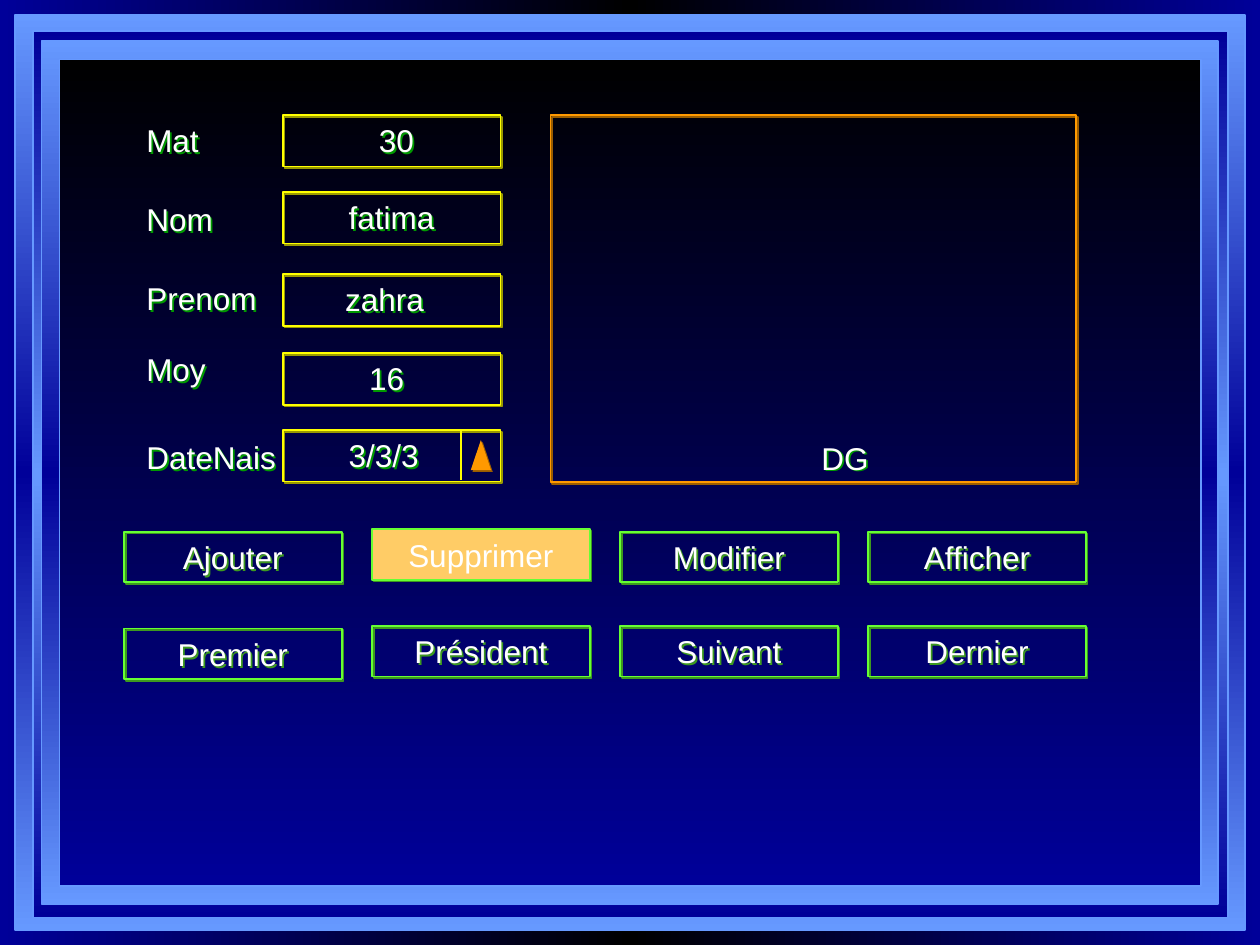
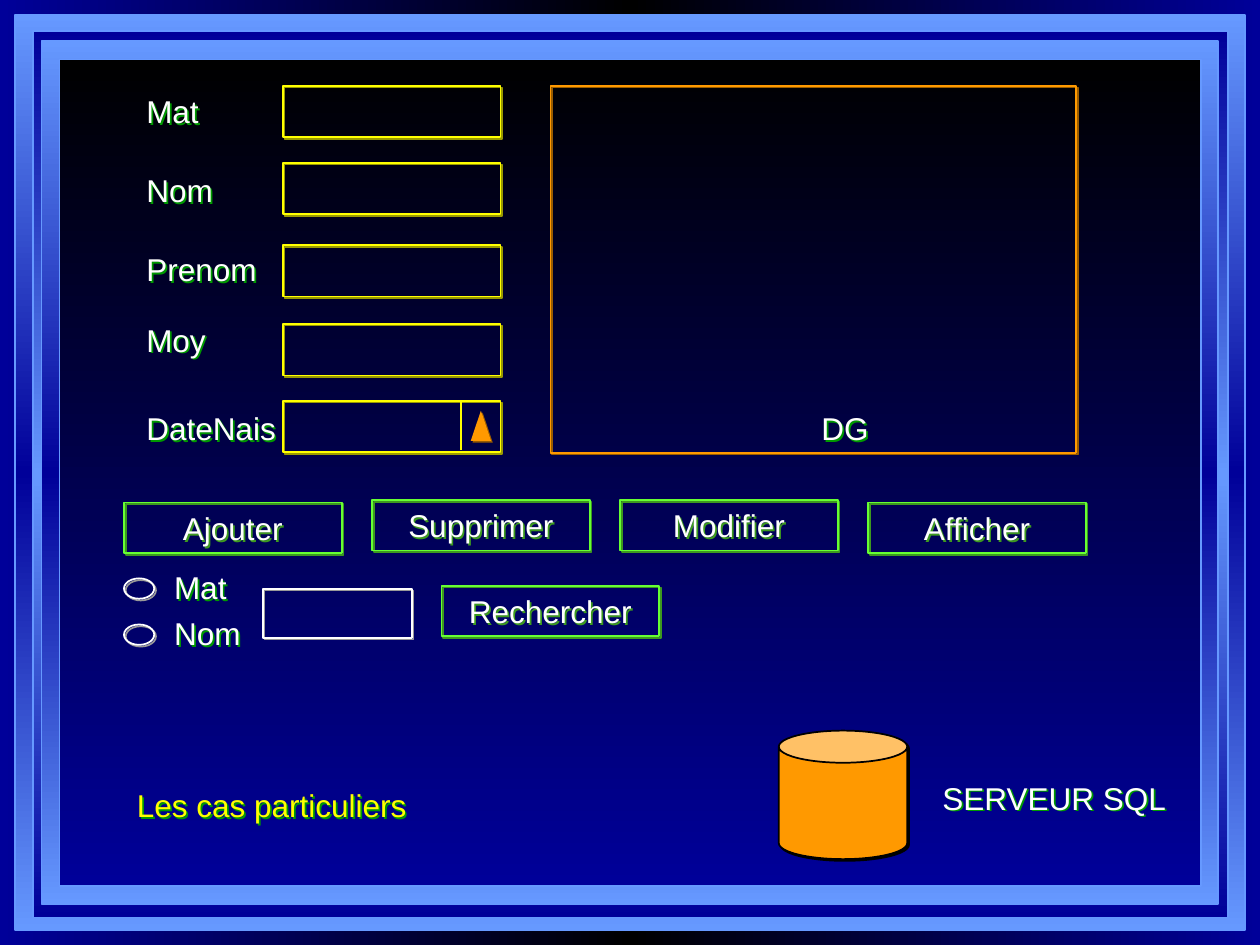
from pptx import Presentation
from pptx.dml.color import RGBColor as RGB
from pptx.enum.shapes import MSO_CONNECTOR, MSO_SHAPE as SHAPE
from pptx.enum.text import MSO_ANCHOR as ANCHOR, MSO_AUTO_SIZE as AUTO, PP_ALIGN as ALIGN
from pptx.oxml.ns import qn
from pptx.util import Cm, Pt
from lxml.etree import SubElement

COLORS = {
    "navy": "000099", "black": "000000", "sky": "6699FF", "white": "FFFFFF",
    "yellow": "FFFF00", "olive": "999900", "orange": "FF9900", "brown": "995C00",
    "lime": "66FF33", "moss": "3D991F", "peach": "FFCC66", "green": "009900",
    "gray": "999999",
}
FONT = "Arial"
LABELS = ["Mat", "Nom", "Prenom", "Moy", "DateNais"]
LABEL_DROPS = [0, 1.59, 3.19, 4.61, 6.39]
FIELD_DROPS = [0, 1.55, 3.21, 4.8, 6.35]
BUTTON_W, BUTTON_H, BUTTON_STEP = 4.39, 1.02, 5
ACTIONS = ["Ajouter", "Supprimer", "Modifier", "Afficher"]
MOVES = ["Premier", "Président", "Suivant", "Dernier"]


def color(name):
    return RGB.from_string(COLORS[name])


def set_gradient(fill, element, names, angle):
    """Spread the named colours evenly over a linear gradient."""
    fill.gradient()
    fill.gradient_angle = angle
    stops = next(element.iter(qn("a:gsLst")))
    for stop in list(stops):
        stops.remove(stop)
    for i, name in enumerate(names):
        gs = SubElement(stops, qn("a:gs"), pos=str(100000 * i // (len(names) - 1)))
        SubElement(gs, qn("a:srgbClr"), val=COLORS[name])


def set_shadow(sp, name):
    sp.shadow.inherit = False
    effects = sp.element.spPr.find(qn("a:effectLst"))
    shadow = SubElement(effects, qn("a:outerShdw"), dist="17960", dir="2700000",
                        algn="ctr", rotWithShape="0")
    SubElement(shadow, qn("a:srgbClr"), val=COLORS[name])


def add_shape(s, kind, x, y, w, h, fill=None, line=None, shadow=None):
    sp = s.shapes.add_shape(kind, Cm(x), Cm(y), Cm(w), Cm(h))
    sp.shadow.inherit = False
    if fill:
        sp.fill.solid()
        sp.fill.fore_color.rgb = color(fill)
    else:
        sp.fill.background()
    if line:
        sp.line.color.rgb = color(line)
        sp.line.width = Pt(1)
    else:
        sp.line.fill.background()
    if shadow:
        set_shadow(sp, shadow)
    return sp


def write(sp, text, name="white", align=ALIGN.LEFT):
    tf = sp.text_frame
    tf.word_wrap = True
    tf.auto_size = AUTO.SHAPE_TO_FIT_TEXT
    p = tf.paragraphs[0]
    p.alignment = align
    r = p.add_run()
    r.text = text
    r.font.name = FONT
    r.font.size = Pt(18)
    r.font.color.rgb = color(name)


def add_label(s, text, x, y, w=3.61, name="white"):
    sp = s.shapes.add_textbox(Cm(x), Cm(y), Cm(w), Cm(1.02))
    set_shadow(sp, "green")
    write(sp, text, name)


def add_button(s, text, x, y, fill=None):
    sp = add_shape(s, SHAPE.RECTANGLE, x, y, BUTTON_W, BUTTON_H, fill, "lime", "moss")
    sp.text_frame.vertical_anchor = ANCHOR.MIDDLE
    write(sp, text, align=ALIGN.CENTER)


def add_frame(s):
    """Background and the four nested gradient panels."""
    set_gradient(s.background.fill, s.element, ["navy", "black", "navy"], 0)
    bright, dark = ["sky", "navy", "sky"], ["navy", "sky", "navy"]
    panels = [
        (0.3, 0.3, 24.8, 18.45, bright),
        (0.66, 0.62, 24.1, 17.88, dark),
        (0.84, 0.83, 23.72, 17.4, bright),
        (1.2, 1.2, 23.01, 16.66, ["black", "navy"]),
    ]
    for x, y, w, h, names in panels:
        sp = add_shape(s, SHAPE.RECTANGLE, x, y, w, h, line="sky")
        set_gradient(sp.fill, sp.element, names, 270)


def add_form(s, top, values=()):
    """Labels, entry fields with their values, and the data grid."""
    x, w, h = 5.7, 4.39, 1.04
    for text, drop in zip(LABELS, LABEL_DROPS):
        add_label(s, text, 2.7, top + drop)
    for drop in FIELD_DROPS:
        add_shape(s, SHAPE.RECTANGLE, x, top + drop, w, h, line="yellow", shadow="olive")

    # Date picker arrow
    y = top + FIELD_DROPS[-1]
    divider = s.shapes.add_connector(MSO_CONNECTOR.STRAIGHT, Cm(x + 3.6), Cm(y),
                                     Cm(x + 3.6), Cm(y + 1))
    divider.line.color.rgb = color("yellow")
    divider.line.width = Pt(1)
    SubElement(divider.element.spPr, qn("a:effectLst"))
    add_shape(s, SHAPE.ISOSCELES_TRIANGLE, x + 3.79, y + 0.2, 0.41, 0.61,
              fill="orange", shadow="brown")

    # Data grid
    add_shape(s, SHAPE.RECTANGLE, 11.1, top, 10.6, 7.4, line="orange", shadow="brown")
    add_label(s, "DG", 16.31, top + 6.4)

    # Field values
    for (text, indent), drop in zip(values, FIELD_DROPS):
        add_label(s, text, x + indent, top + drop, 2.7)


def add_button_row(s, top, texts, lowered=(), selected=None):
    """Four buttons in equal steps; the lowered ones sit slightly below the top."""
    for i, text in enumerate(texts):
        y = top + (0.05 if text in lowered else 0)
        add_button(s, text, 2.5 + i * BUTTON_STEP, y,
                   "peach" if text == selected else None)


def add_search(s, x, y):
    """Choice of criterion, search field and button."""
    for i, text in enumerate(["Mat", "Nom"]):
        row = y + i * 0.93
        add_shape(s, SHAPE.OVAL, x, row + 0.33, 0.61, 0.41, line="white", shadow="gray")
        add_label(s, text, x + 0.76, row, 2.2)
    add_button(s, "Rechercher", x + 6.4, y + 0.48)
    add_shape(s, SHAPE.RECTANGLE, x + 2.8, y + 0.54, 3, 0.99, line="white", shadow="gray")


def add_database(s, x, y):
    add_shape(s, SHAPE.CAN, x, y, 2.59, 2.59, "orange", "black", "black")
    add_label(s, "SERVEUR SQL", x + 3.05, y + 0.84, 5.4)


def record_slide(s):
    add_frame(s)
    add_form(s, 2.32, [("30", 1.69), ("fatima", 1.08), ("zahra", 1.01),
                       ("16", 1.49), ("3/3/3", 1.08)])
    add_button_row(s, 10.67, ACTIONS, ["Ajouter", "Modifier", "Afficher"], "Supprimer")
    add_button_row(s, 12.62, MOVES, ["Premier"])


def search_slide(s):
    add_frame(s)
    add_form(s, 1.73)
    add_button_row(s, 10.08, ACTIONS, ["Ajouter", "Afficher"])
    add_search(s, 2.5, 11.33)
    add_database(s, 15.7, 14.73)
    add_label(s, "Les cas particuliers", 2.51, 15.72, 6.5, "yellow")


def main():
    prs = Presentation()
    prs.slide_width, prs.slide_height = Cm(25.4), Cm(19.05)
    for build in (record_slide, search_slide):
        build(prs.slides.add_slide(prs.slide_layouts[6]))
    prs.save("out.pptx")


if __name__ == "__main__":
    main()
